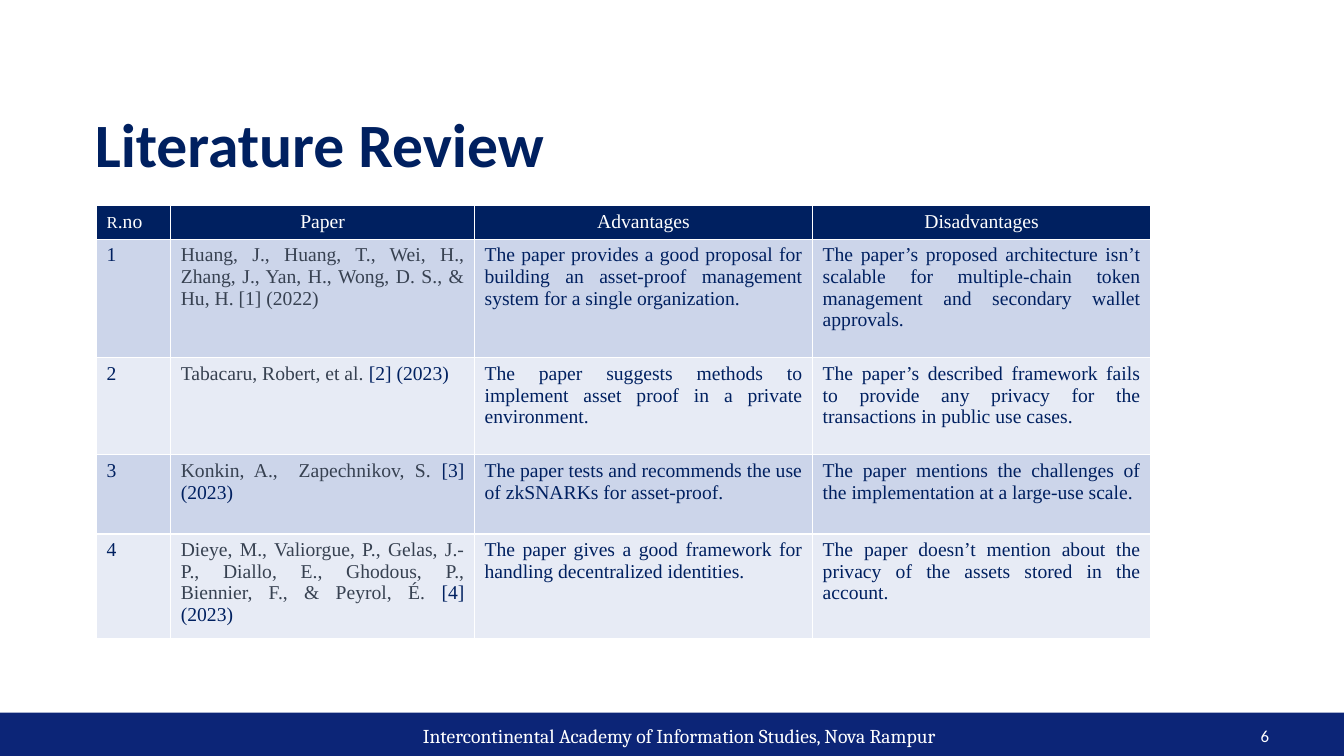
from lxml import etree
from pptx import Presentation
from pptx import util as u
from pptx.dml import color
from pptx.enum import shapes, text
from pptx.oxml import ns

INK = {"navy": "002060", "bar": "0C2577", "slate": "374151",
       "white": "FFFFFF", "odd": "CCD5EA", "even": "E7EBF5"}
SIDE = text.PP_ALIGN
SERIF = "Times New Roman"
HEAD = ["Paper", "Advantages", "Disadvantages"]
ROWS = [
    ([("Huang, J., Huang, T., Wei, H., Zhang, J., Yan, H., Wong, D. S., & Hu, H. [1] (2022)", "slate")],
     "The paper provides a good proposal for building an asset-proof management system for a single organization.",
     "The paper’s proposed architecture isn’t scalable for multiple-chain token management and secondary wallet approvals."),
    ([("Tabacaru, Robert, et al. ", "slate"), ("[2] (2023)", "navy")],
     "The paper suggests methods to implement asset proof in a private environment.",
     "The paper’s described framework fails to provide any privacy for the transactions in public use cases."),
    ([("Konkin, A.,  Zapechnikov, S. ", "slate"), ("[3] (2023)", "navy")],
     "The paper tests and recommends the use of zkSNARKs for asset-proof.",
     "The paper mentions the challenges of the implementation at a large-use scale."),
    ([("Dieye, M., Valiorgue, P., Gelas, J.-P., Diallo, E., Ghodous, P., Biennier, F., & Peyrol, É. ", "slate"),
      ("[4] (2023)", "navy")],
     "The paper gives a good framework for handling decentralized identities.",
     "The paper doesn’t mention about the privacy of the assets stored in the account."),
]


def put(obj, form):
    for key, val in form.items():
        setattr(obj, key, val)


def rgb(name):
    return color.RGBColor.from_string(INK[name])


class Deck:
    """Hold the style and the current slide, and draw each kind of element."""

    def __init__(self, wide, high):
        self.prs = Presentation()
        put(self.prs, {"slide_width": u.Pt(wide), "slide_height": u.Pt(high)})
        self.page = self.prs.slides.add_slide(self.prs.slide_layouts[5])

    def words(self, frame, runs, side, **form):
        para = frame.paragraphs[0]
        put(para, {"alignment": side, **form})
        for part, ink, face, size, bold in runs:
            run = para.add_run()
            run.text = part
            put(run.font, {"name": face, "size": u.Pt(size), "bold": bold})
            run.font.color.rgb = rgb(ink)

    def title(self, name, box):
        item = self.page.shapes.title
        put(item, dict(zip(("left", "top", "width", "height"), map(u.Pt, box))))
        put(item.text_frame, {"word_wrap": True, "auto_size": text.MSO_AUTO_SIZE.NONE,
                              "vertical_anchor": text.MSO_ANCHOR.MIDDLE})
        self.words(item.text_frame, [(name, "navy", "Calibri", 44, True)],
                   SIDE.LEFT, line_spacing=0.9)

    def bar(self, ink, box):
        item = self.page.shapes.add_shape(shapes.MSO_SHAPE.RECTANGLE, *map(u.Pt, box))
        item.shadow.inherit = False
        item.fill.solid()
        item.fill.fore_color.rgb = rgb(ink)
        item.line.fill.background()

    def label(self, name, box, face, size, side):
        frame = self.page.shapes.add_textbox(*map(u.Pt, box)).text_frame
        put(frame, {"word_wrap": True, "vertical_anchor": text.MSO_ANCHOR.MIDDLE})
        self.words(frame, [(name, "white", face, size, False)], side)

    def cell(self, cell, runs, side, fill):
        put(cell, {"margin_left": u.Pt(7.2), "margin_right": u.Pt(7.2),
                   "margin_top": u.Pt(3.6), "margin_bottom": u.Pt(3.6)})
        prop = cell._tc.get_or_add_tcPr()
        for edge in "LRTB":
            line = etree.SubElement(prop, ns.qn("a:ln" + edge), w=str(u.Pt(1)))
            solid = etree.SubElement(line, ns.qn("a:solidFill"))
            etree.SubElement(solid, ns.qn("a:srgbClr"), val=INK["white"])
        cell.fill.solid()
        cell.fill.fore_color.rgb = rgb(fill)
        self.words(cell.text_frame, runs, side)

    def table(self, left, top, cols, highs):
        box = map(u.Pt, (left, top, sum(cols), sum(highs)))
        grid = self.page.shapes.add_table(len(highs), len(cols), *box).table
        for col, wide in zip(grid.columns, cols):
            col.width = u.Pt(wide)
        for row, high in zip(grid.rows, highs):
            row.height = u.Pt(high)
        return grid


def main():
    deck = Deck(960, 540)
    deck.bar("bar", (0, 509, 960, 31))
    deck.label("Intercontinental Academy of Information Studies, Nova Rampur",
               (225.4, 511.2, 519.8, 28.8), "Cambria", 14, SIDE.CENTER)
    deck.label("6", (758.2, 511.2, 155.5, 28.8), "Calibri", 12, SIDE.RIGHT)

    grid = deck.table(69, 147, (53, 217, 241.5, 241.5), (22.7, 84.6, 69.3, 56.6, 71))
    deck.cell(grid.cell(0, 0), [("R", "white", SERIF, 12, False),
                                (".no", "white", SERIF, 14, False)], SIDE.LEFT, "navy")
    for c, name in enumerate(HEAD, 1):
        deck.cell(grid.cell(0, c), [(name, "white", SERIF, 14, False)], SIDE.CENTER, "navy")
    for r, (paper, good, bad) in enumerate(ROWS, 1):
        parts = [[(str(r), "navy")], paper, [(good, "navy")], [(bad, "navy")]]
        for c, part in enumerate(parts):
            runs = [(name, ink, SERIF, 14, False) for name, ink in part]
            deck.cell(grid.cell(r, c), runs, SIDE.JUSTIFY if c else SIDE.LEFT,
                      "odd" if r % 2 else "even")

    deck.title("Literature Review", (60.5, 63.4, 769.7, 83.5))
    deck.prs.save("out.pptx")


if __name__ == "__main__":
    main()
